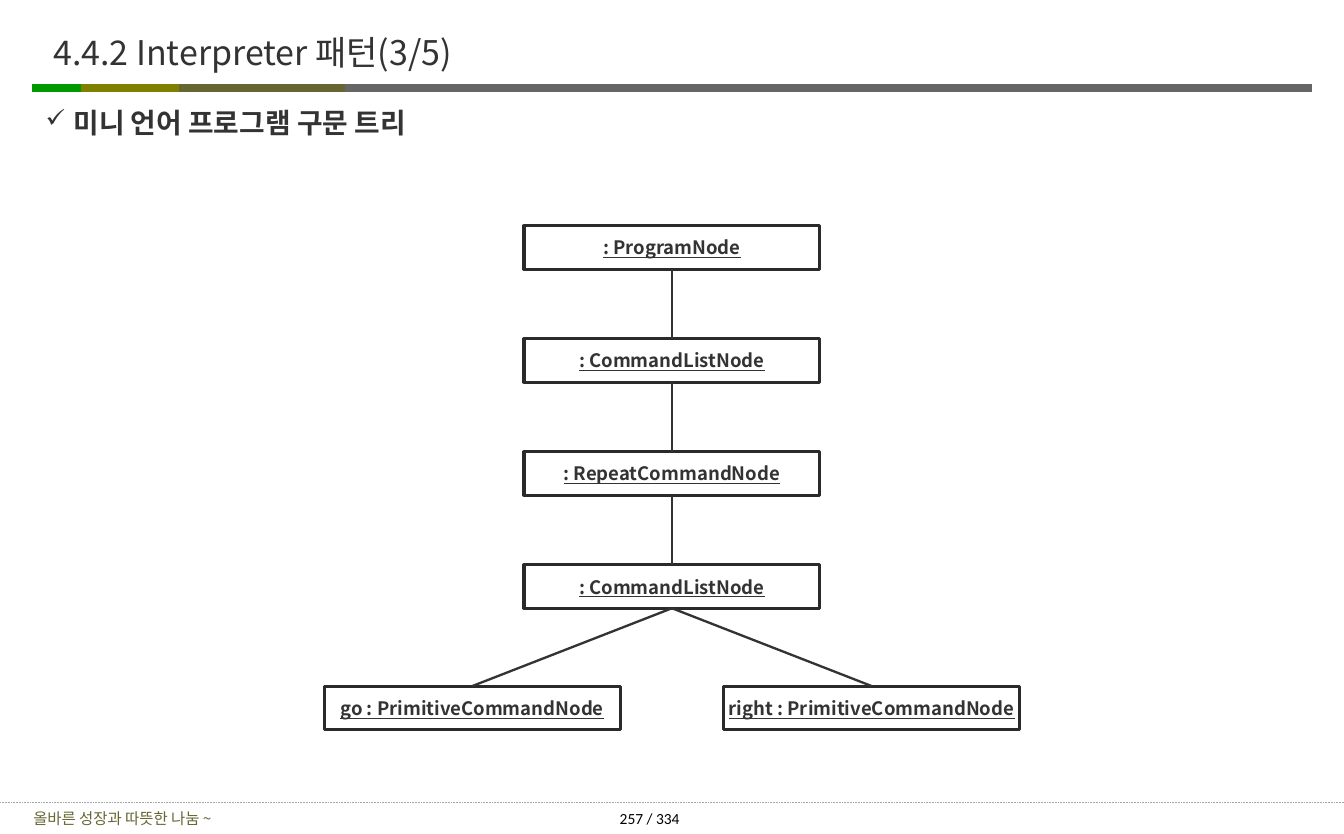
from dataclasses import dataclass

from lxml import etree
from pptx import Presentation
from pptx.dml.color import RGBColor
from pptx.enum.dml import MSO_LINE
from pptx.enum.shapes import MSO_CONNECTOR, MSO_SHAPE
from pptx.enum.text import MSO_ANCHOR, MSO_AUTO_SIZE, PP_ALIGN
from pptx.oxml.ns import qn
from pptx.util import Pt

TITLE = "4.4.2 Interpreter 패턴(3/5)"
HEADING = "미니 언어 프로그램 구문 트리"
FOOTER = "올바른 성장과 따뜻한 나눔 ~"
PAGE = "257 / 334"
CHAIN = [": ProgramNode", ": CommandListNode", ": RepeatCommandNode", ": CommandListNode"]
LEAVES = ["go : PrimitiveCommandNode", "right : PrimitiveCommandNode"]
HEADER_BARS = [
    (298, 1179, "666666"),
    (29, 109, "009900"),
    (73, 166, "808000"),
    (161, 310, "666633"),
]


@dataclass(frozen=True)
class Theme:
    font: str = "Noto Sans CJK KR"
    page_font: str = "Calibri"
    ink: str = "333333"
    olive: str = "666633"
    black: str = "000000"
    border: str = "2A2A2A"
    paper: str = "FFFFFF"
    rule: str = "A6A6A6"
    title: int = 22
    heading: int = 18
    node: int = 12
    small: int = 10


T = Theme()
SCALE = 9144
W, H = 1208, 750
NODE_W, NODE_H = 266, 39
CHAIN_TOP, CHAIN_BOTTOM = 203, 508
LEAF_TOP, LEAF_STEP = 617, 359
STRAIGHT = MSO_CONNECTOR.STRAIGHT
RECT = MSO_SHAPE.RECTANGLE
MIDDLE, TOP = MSO_ANCHOR.MIDDLE, MSO_ANCHOR.TOP
LEFT, CENTER = PP_ALIGN.LEFT, PP_ALIGN.CENTER
TOP_SIDE, BOTTOM_SIDE = 0, 2


def px(n):
    return round(n * SCALE)


def rgb(value):
    return RGBColor.from_string(value)


def write(sp, text, size, color, font=T.font, align=LEFT, anchor=MIDDLE,
          inset=(0, 0), wrap=True, bullet=None, **style):
    tf = sp.text_frame
    frame = dict(word_wrap=wrap, auto_size=MSO_AUTO_SIZE.NONE, vertical_anchor=anchor,
                 margin_left=px(inset[0]), margin_right=px(inset[0]),
                 margin_top=px(inset[1]), margin_bottom=px(inset[1]))
    for name, value in frame.items():
        setattr(tf, name, value)
    p = tf.paragraphs[0]
    p.alignment = align
    if bullet:
        pPr = p._p.get_or_add_pPr()
        pPr.set("marL", str(px(25)))
        pPr.set("indent", str(px(-25)))
        etree.SubElement(pPr, qn("a:buSzPct"), val="90000")
        etree.SubElement(pPr, qn("a:buChar"), char=bullet)
    r = p.add_run()
    r.text = text
    for name, value in dict(name=font, size=Pt(size), **style).items():
        setattr(r.font, name, value)
    r.font.color.rgb = rgb(color)
    etree.SubElement(r._r.get_or_add_rPr(), qn("a:ea"), typeface=font)


def add_text(shapes, box, *args, **kwargs):
    sp = shapes.add_textbox(*map(px, box))
    write(sp, *args, **kwargs)


def add_line(shapes, x1, y1, x2, y2, color, width, dash=None):
    line = shapes.add_connector(STRAIGHT, px(x1), px(y1), px(x2), px(y2))
    line.line.color.rgb = rgb(color)
    line.line.width = Pt(width)
    if dash:
        line.line.dash_style = dash
    etree.SubElement(line._element.spPr, qn("a:effectLst"))
    return line


def add_node(shapes, text, left, top):
    sp = shapes.add_shape(RECT, px(left), px(top), px(NODE_W), px(NODE_H))
    sp.shadow.inherit = False
    sp.fill.solid()
    sp.fill.fore_color.rgb = rgb(T.paper)
    sp.line.color.rgb = rgb(T.border)
    sp.line.width = Pt(2)
    write(sp, text, T.node, T.ink, align=CENTER, inset=(11, 5), wrap=False,
          bold=True, underline=True)
    return sp


def join(shapes, parent, child):
    line = add_line(shapes, 0, 0, 0, 0, T.ink, 1.5)
    line.begin_connect(parent, BOTTOM_SIDE)
    line.end_connect(child, TOP_SIDE)


def main():
    prs = Presentation()
    prs.slide_width, prs.slide_height = px(W), px(H)
    s = prs.slides.add_slide(prs.slide_layouts[5])
    shapes = s.shapes

    for x1, x2, color in HEADER_BARS:
        add_line(shapes, x1, 79, x2, 79, color, 5)
    add_line(shapes, 0, 722, W, 722, T.rule, 0.5, MSO_LINE.ROUND_DOT)
    add_text(shapes, (0, 723, 220, 26), FOOTER, T.small, T.olive, align=CENTER)
    add_text(shapes, (557, 722, 91, 27), PAGE, T.small, T.black, font=T.page_font)

    title = shapes.title
    title.left, title.top, title.width, title.height = map(px, (37, 15, 1000, 63))
    write(title, TITLE, T.title, T.ink, inset=(11, 6))
    add_text(shapes, (37, 91, 1150, 123), HEADING, T.heading, T.ink, anchor=TOP,
             inset=(4, 4), bullet="✓", bold=True)

    left = (W - NODE_W) / 2
    step = (CHAIN_BOTTOM - CHAIN_TOP) / (len(CHAIN) - 1)
    chain = [add_node(shapes, text, left, CHAIN_TOP + i * step)
             for i, text in enumerate(CHAIN)]
    first = left - LEAF_STEP * (len(LEAVES) - 1) / 2
    leaves = [add_node(shapes, text, first + i * LEAF_STEP, LEAF_TOP)
              for i, text in enumerate(LEAVES)]
    edges = list(zip(chain, chain[1:])) + [(chain[-1], leaf) for leaf in leaves]
    for parent, child in edges:
        join(shapes, parent, child)

    prs.save("out.pptx")


if __name__ == "__main__":
    main()
